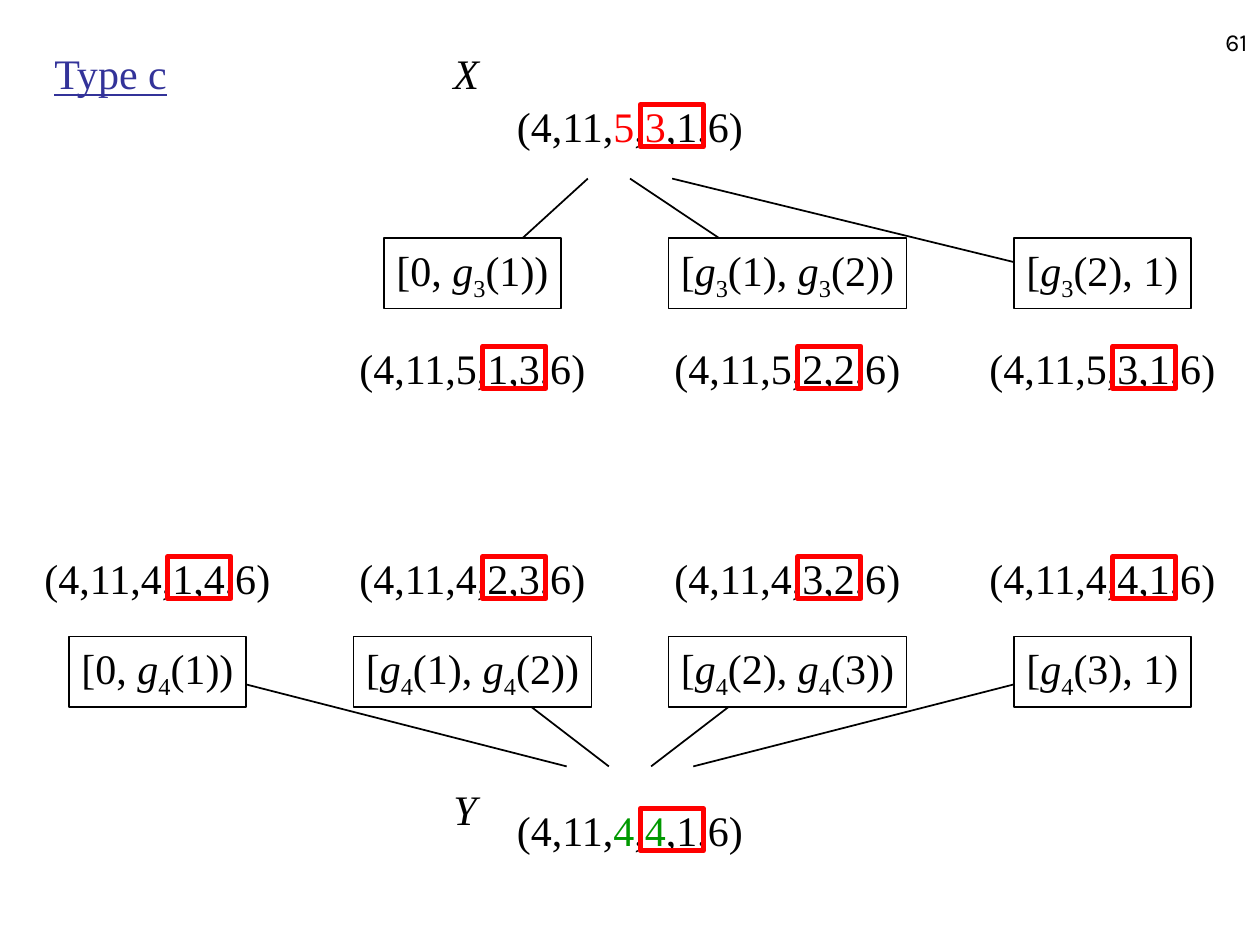
import pptx
import pptx.util
import pptx.dml.color
import pptx.enum.shapes
import pptx.enum.text
import pptx.oxml.ns
from lxml import etree

Cm = pptx.util.Cm
Pt = pptx.util.Pt
RGBColor = pptx.dml.color.RGBColor
ALIGN = pptx.enum.text.PP_ALIGN
ANCHOR = pptx.enum.text.MSO_ANCHOR
RECTANGLE = pptx.enum.shapes.MSO_SHAPE.RECTANGLE
STRAIGHT = pptx.enum.shapes.MSO_CONNECTOR.STRAIGHT

BLACK = RGBColor(0x00, 0x00, 0x00)
WHITE = RGBColor(0xFF, 0xFF, 0xFF)
RED = RGBColor(0xFF, 0x00, 0x00)
GREEN = RGBColor(0x00, 0x99, 0x00)
INDIGO = RGBColor(0x33, 0x33, 0x99)

TITLE = "Type c"
PAGE_NUMBER = "61"
NAMES = [("X", 0.84), ("Y", 15.67)]
ROOTS = [
    (1.9, [("(4,11,", BLACK), ("5", RED), (",", BLACK), ("3", RED), (",1,6)", BLACK)]),
    (16.09, [("(4,11,", BLACK), ("4", GREEN), (",", BLACK), ("4", GREEN), (",1,6)", BLACK)]),
]
BRANCHES = [
    {
        "first_column": 1, "subscript": "3",
        "tuples": ["(4,11,5,1,3,6)", "(4,11,5,2,2,6)", "(4,11,5,3,1,6)"],
        "intervals": ["[0, g(1))", "[g(1), g(2))", "[g(2), 1)"],
        "tuple_top": 6.77, "interval_top": 4.8, "line_start": 3.6, "line_end": 5.72,
    },
    {
        "first_column": 0, "subscript": "4",
        "tuples": ["(4,11,4,1,4,6)", "(4,11,4,2,3,6)", "(4,11,4,3,2,6)", "(4,11,4,4,1,6)"],
        "intervals": ["[0, g(1))", "[g(1), g(2))", "[g(2), g(3))", "[g(3), 1)"],
        "tuple_top": 11.01, "interval_top": 12.83, "line_start": 15.45, "line_end": 13.34,
    },
]

SLIDE_WIDTH, SLIDE_HEIGHT = 25.4, 19.05
COLUMN_PITCH = 6.35
LINE_PITCH = 0.85
TUPLE_WIDTH, TUPLE_HEIGHT = 5.08, 1.27
FRAME_WIDTH, FRAME_HEIGHT = 1.27, 0.85
FRAME_LEFT, FRAME_TOP = 2.75, 0.21
NARROW, WIDE, INTERVAL_HEIGHT = 3.56, 4.8, 1.42


def write_text(shape, runs, font="Times New Roman", size=24, color=BLACK, italic=False,
               underline=False, align=ALIGN.LEFT, anchor=ANCHOR.TOP, wrap=False):
    frame = shape.text_frame
    frame.word_wrap = wrap
    frame.vertical_anchor = anchor
    paragraph = frame.paragraphs[0]
    paragraph.alignment = align
    for text, style in runs:
        run = paragraph.add_run()
        run.text = text
        run.font.name = font
        run.font.size = Pt(size)
        run.font.italic = style.get("italic", italic)
        run.font.underline = underline
        run.font.color.rgb = style.get("color", color)
        if style.get("subscript"):
            run.font._element.set("baseline", "-25000")


def add_box(slide, left, top, width, height, fill=None, line=None, weight=1):
    shape = slide.shapes.add_shape(RECTANGLE, Cm(left), Cm(top), Cm(width), Cm(height))
    shape.shadow.inherit = False
    if fill is None:
        shape.fill.background()
    else:
        shape.fill.solid()
        shape.fill.fore_color.rgb = fill
    if line is None:
        shape.line.fill.background()
    else:
        shape.line.color.rgb = line
        shape.line.width = Pt(weight)
    return shape


def add_tuple(slide, center, top, runs):
    left = center - TUPLE_WIDTH / 2
    box = add_box(slide, left, top, TUPLE_WIDTH, TUPLE_HEIGHT, fill=WHITE)
    write_text(box, runs, align=ALIGN.CENTER, anchor=ANCHOR.MIDDLE)
    add_box(slide, left + FRAME_LEFT, top + FRAME_TOP, FRAME_WIDTH, FRAME_HEIGHT,
            line=RED, weight=3)


def add_interval(slide, center, top, text, subscript):
    pieces = text.split("g")
    runs = [(pieces[0], {})]
    for piece in pieces[1:]:
        runs += [("g", {"italic": True}), (subscript, {"subscript": True}), (piece, {})]
    width = WIDE if len(pieces) > 2 else NARROW
    box = add_box(slide, center - width / 2, top, width, INTERVAL_HEIGHT, fill=WHITE, line=BLACK)
    write_text(box, runs, align=ALIGN.CENTER, anchor=ANCHOR.MIDDLE)


def add_arrow(slide, start_x, start_y, end_x, end_y):
    arrow = slide.shapes.add_connector(STRAIGHT, Cm(start_x), Cm(start_y), Cm(end_x), Cm(end_y))
    arrow.line.color.rgb = BLACK
    arrow.line.width = Pt(1)
    qn = pptx.oxml.ns.qn
    etree.SubElement(arrow.line._get_or_add_ln(), qn("a:tailEnd"), type="triangle")
    etree.SubElement(arrow._element.spPr, qn("a:effectLst"))


def add_branch(slide, branch):
    count = len(branch["tuples"])
    for index in range(count):
        center = COLUMN_PITCH * (branch["first_column"] + index + 0.5)
        start = SLIDE_WIDTH / 2 + LINE_PITCH * (index - (count - 1) / 2)
        add_arrow(slide, start, branch["line_start"], center, branch["line_end"])
    for index, (values, interval) in enumerate(zip(branch["tuples"], branch["intervals"])):
        center = COLUMN_PITCH * (branch["first_column"] + index + 0.5)
        add_tuple(slide, center, branch["tuple_top"], [(values, {})])
        add_interval(slide, center, branch["interval_top"], interval, branch["subscript"])


def main():
    presentation = pptx.Presentation()
    presentation.slide_width = Cm(SLIDE_WIDTH)
    presentation.slide_height = Cm(SLIDE_HEIGHT)
    slide = presentation.slides.add_slide(presentation.slide_layouts[5])

    title = slide.shapes.title
    title.left, title.top, title.width, title.height = Cm(0.84), Cm(0.84), Cm(21.64), Cm(1.27)
    write_text(title, [(TITLE, {})], color=INDIGO, underline=True, anchor=ANCHOR.BOTTOM, wrap=True)

    for name, top in NAMES:
        label = slide.shapes.add_textbox(Cm(8.89), Cm(top), Cm(1), Cm(1.27))
        write_text(label, [(name, {})], italic=True)
    for branch in BRANCHES:
        add_branch(slide, branch)
    for top, parts in ROOTS:
        add_tuple(slide, SLIDE_WIDTH / 2, top, [(text, {"color": color}) for text, color in parts])

    number = slide.shapes.add_textbox(Cm(20.12), Cm(0), Cm(5.28), Cm(1.27))
    write_text(number, [(PAGE_NUMBER, {})], font="Karla", size=14, align=ALIGN.RIGHT,
               anchor=ANCHOR.BOTTOM, wrap=True)
    presentation.save("out.pptx")


if __name__ == "__main__":
    main()
